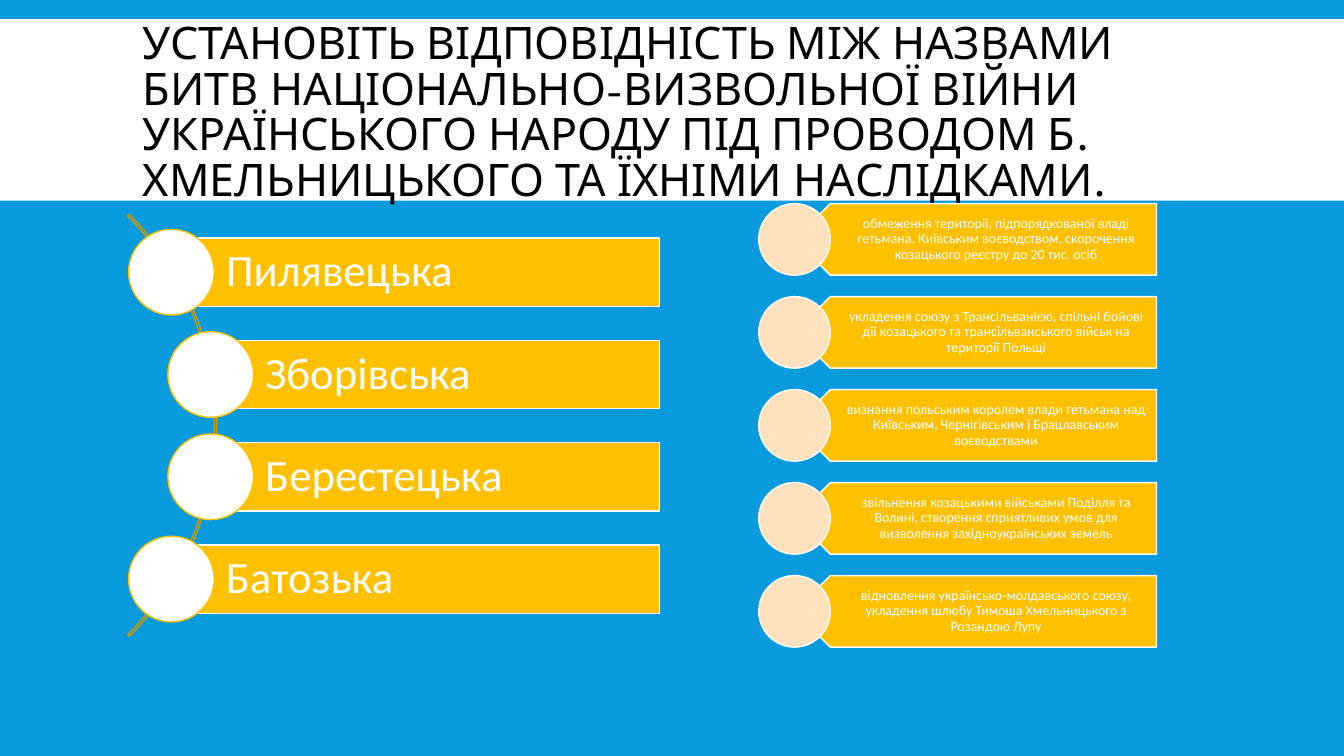
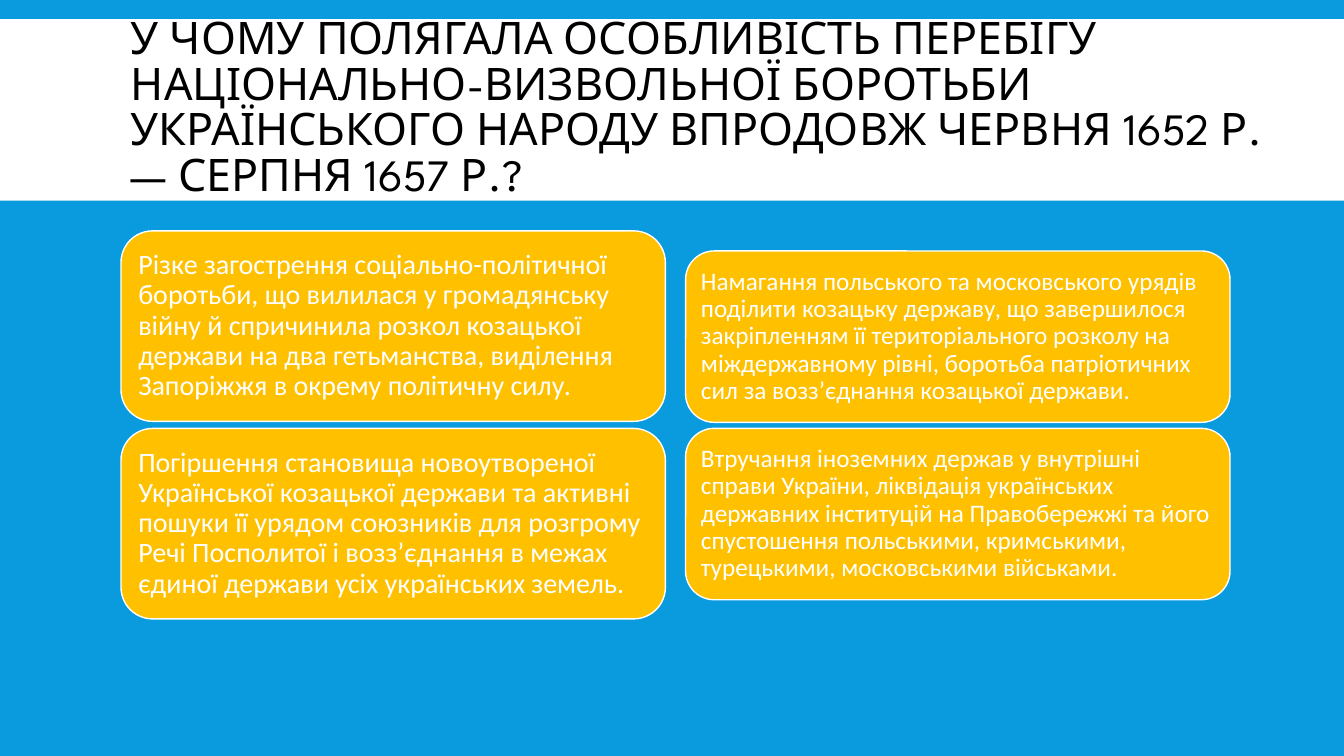
import pptx
import pptx.util
import pptx.dml.color
import pptx.enum.shapes
import pptx.enum.text

COLORS = {"sky": "099BDD", "white": "FFFFFF", "black": "000000",
          "gold": "FFC000", "bronze": "CC9A00", "cream": "FFE2BD"}
TITLE_FONT, BODY_FONT = "League Spartan", "Calibri"
WIDTH, HEIGHT = 13.33, 7.5
SHAPE = pptx.enum.shapes.MSO_SHAPE
ALIGN = pptx.enum.text.PP_ALIGN

BATTLES = ["Пилявецька", "Зборівська", "Берестецька", "Батозька"]
OUTCOMES = [
    "обмеження території, підпорядкованої владі гетьмана, Київським воєводством, "
    "скорочення козацького реєстру до 20 тис. осіб",
    "укладення союзу з Трансільванією, спільні бойові дії козацького та "
    "трансільванського військ на території Польщі",
    "визнання польським королем влади гетьмана над Київським, Чернігівським і "
    "Брацлавським воєводствами",
    "звільнення козацькими військами Поділля та Волині, створення сприятливих умов "
    "для визволення західноукраїнських земель",
    "відновлення українсько-молдавського союзу, укладення шлюбу Тимоша "
    "Хмельницького з Розандою Лупу",
]
FEATURES_LEFT = [
    "Різке загострення соціально-політичної боротьби, що вилилася у громадянську "
    "війну й спричинила розкол козацької держави на два гетьманства, виділення "
    "Запоріжжя в окрему політичну силу.",
    "Погіршення становища новоутвореної Української козацької держави та активні "
    "пошуки її урядом союзників для розгрому Речі Посполитої і возз’єднання в межах "
    "єдиної держави усіх українських земель.",
]
FEATURES_RIGHT = [
    "Намагання польського та московського урядів поділити козацьку державу, що "
    "завершилося закріпленням її територіального розколу на міждержавному рівні, "
    "боротьба патріотичних сил за возз’єднання козацької держави.",
    "Втручання іноземних держав у внутрішні справи України, ліквідація українських "
    "державних інституцій на Правобережжі та його спустошення польськими, "
    "кримськими, турецькими, московськими військами.",
]


def rgb(name):
    return pptx.dml.color.RGBColor.from_string(COLORS[name])


def inches(*lengths):
    return [pptx.util.Inches(v) for v in lengths]


# Elements
def add_shape(s, kind, box, fill=None, line=None):
    sp = s.shapes.add_shape(kind, *inches(*box))
    sp.shadow.inherit = False
    if fill:
        sp.fill.solid()
        sp.fill.fore_color.rgb = rgb(fill)
    else:
        sp.fill.background()
    if line:
        sp.line.color.rgb = rgb(line)
        sp.line.width = pptx.util.Pt(1)
    else:
        sp.line.fill.background()
    return sp


def write(sp, text, size, insets, color="white", font=BODY_FONT,
          align=ALIGN.LEFT, spacing=0.9):
    tf = sp.text_frame
    tf.word_wrap = True
    tf.vertical_anchor = pptx.enum.text.MSO_ANCHOR.MIDDLE
    (tf.margin_left, tf.margin_top,
     tf.margin_right, tf.margin_bottom) = inches(*insets)
    p = tf.paragraphs[0]
    p.alignment, p.line_spacing = align, spacing
    r = p.add_run()
    r.text = text
    r.font.size, r.font.name = pptx.util.Pt(size), font
    r.font.color.rgb = rgb(color)


def add_text(s, box, text, size, insets, **style):
    write(s.shapes.add_textbox(*inches(*box)), text, size, insets, **style)


# Shared slide: background, title band and title
def add_slide(prs, title, title_box):
    s = prs.slides.add_slide(prs.slide_layouts[6])
    s.background.fill.solid()
    s.background.fill.fore_color.rgb = rgb("sky")
    add_shape(s, SHAPE.RECTANGLE, (0, 0.19, WIDTH, 1.8), "white")
    add_text(s, title_box, title, 32, (0.1, 0.05, 0.1, 0.05),
             color="black", font=TITLE_FONT, spacing=0.85)
    return s


# Battles: bars strung along an arc, the middle ones pushed right
def add_battles(s, top=2.36, pitch=1.015, bar=0.68, dot=0.85, right=6.54):
    arc = add_shape(s, SHAPE.BLOCK_ARC, (-3.77, 1.26, 5.92, 5.92), line="bronze")
    for i, value in enumerate((189, 27, 0.004)):
        arc.adjustments[i] = value
    for i, name in enumerate(BATTLES):
        left = 1.7 if i in (0, len(BATTLES) - 1) else 2.09
        y = top + i * pitch
        sp = add_shape(s, SHAPE.RECTANGLE, (left, y, right - left, bar), "gold", "white")
        write(sp, name, 32, (0.54, 0.09, 0.09, 0.09))
        add_shape(s, SHAPE.OVAL, (left - dot / 2, y + (bar - dot) / 2, dot, dot),
                  "white", "gold")


# Outcomes: left-pointing plates with a disc over the tip
def add_outcomes(s, left=7.88, top=2.02, pitch=0.9225, width=3.59, height=0.71):
    for i, text in enumerate(OUTCOMES):
        y = top + i * pitch
        plate = add_shape(s, SHAPE.PENTAGON, (left, y, width, height), "gold", "white")
        plate.rotation = 180
        add_text(s, (left + height / 4, y, width - height / 4, height), text, 10,
                 (0.31, 0.04, 0.08, 0.04), align=ALIGN.CENTER)
        add_shape(s, SHAPE.OVAL, (left - height / 2, y, height, height),
                  "cream", "white")


# Features: a column of rounded cards
def add_cards(s, texts, left, top, height, size, inset, lower=4.25, width=5.4):
    for y, text in zip((top, lower), texts):
        sp = add_shape(s, SHAPE.ROUNDED_RECTANGLE, (left, y, width, height),
                       "gold", "white")
        write(sp, text, size, [inset] * 4)


def main():
    prs = pptx.Presentation()
    prs.slide_width, prs.slide_height = inches(WIDTH, HEIGHT)

    s = add_slide(prs, "УСТАНОВІТЬ ВІДПОВІДНІСТЬ МІЖ НАЗВАМИ БИТВ "
                  "НАЦІОНАЛЬНО-ВИЗВОЛЬНОЇ ВІЙНИ УКРАЇНСЬКОГО НАРОДУ ПІД ПРОВОДОМ "
                  "Б. ХМЕЛЬНИЦЬКОГО ТА ЇХНІМИ НАСЛІДКАМИ.", (1.32, 0.31, 10.7, 1.65))
    add_battles(s)
    add_outcomes(s)

    s = add_slide(prs, "У ЧОМУ ПОЛЯГАЛА ОСОБЛИВІСТЬ ПЕРЕБІГУ НАЦІОНАЛЬНО-ВИЗВОЛЬНОЇ "
                  "БОРОТЬБИ УКРАЇНСЬКОГО НАРОДУ ВПРОДОВЖ ЧЕРВНЯ 1652 Р. — "
                  "СЕРПНЯ 1657 Р.?", (1.2, 0.29, 11.52, 1.59))
    add_cards(s, FEATURES_LEFT, 1.2, 2.29, 1.89, 20, 0.08)
    add_cards(s, FEATURES_RIGHT, 6.8, 2.49, 1.7, 18, 0.07)

    prs.save("out.pptx")


if __name__ == "__main__":
    main()
